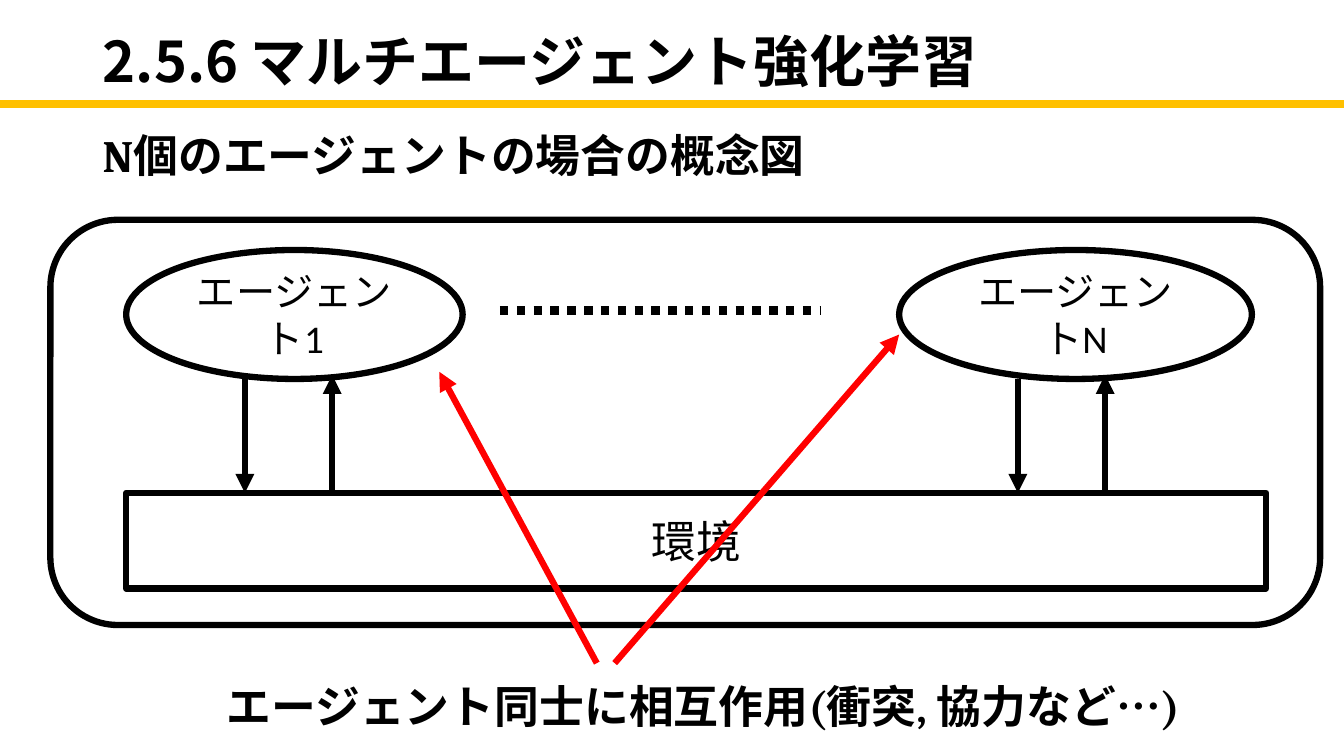
from pptx import Presentation
from pptx.dml.color import RGBColor
from pptx.enum.dml import MSO_LINE
from pptx.enum.shapes import MSO_CONNECTOR, MSO_SHAPE
from pptx.enum.text import MSO_ANCHOR, MSO_AUTO_SIZE, PP_ALIGN
from pptx.oxml.ns import qn
from pptx.util import Cm, Pt
from lxml.etree import SubElement

JP_FONT = "Noto Sans CJK JP"
rgb = RGBColor.from_string


def write(sp, text, size=32, font="Cambria", bold=True, align=PP_ALIGN.LEFT,
          anchor=MSO_ANCHOR.TOP, spacing=0.9):
    tf = sp.text_frame
    tf.word_wrap = True
    tf.auto_size = MSO_AUTO_SIZE.NONE
    tf.vertical_anchor = anchor
    p = tf.paragraphs[0]
    p.alignment = align
    p.line_spacing = spacing
    r = p.add_run()
    r.text = text
    r.font.size = Pt(size)
    r.font.bold = bold
    r.font.color.rgb = rgb("000000")
    r.font.name = font
    SubElement(r.font._element, qn("a:ea"), typeface=JP_FONT)


def connect(x1, y1, x2, y2, color="000000", width=4.5, arrow=True):
    line = s.shapes.add_connector(MSO_CONNECTOR.STRAIGHT,
                                  Cm(x1), Cm(y1), Cm(x2), Cm(y2))
    line.line.color.rgb = rgb(color)
    line.line.width = Pt(width)
    if arrow:
        SubElement(line.line._get_or_add_ln(), qn("a:tailEnd"), type="triangle")
    SubElement(line._element.spPr, qn("a:effectLst"))
    return line


prs = Presentation()
prs.slide_width, prs.slide_height = Cm(33.87), Cm(19.05)
s = prs.slides.add_slide(prs.slide_layouts[5])

# Title and rule
title = s.shapes.title
title.left, title.top, title.width, title.height = Cm(2.34), Cm(-0.23), Cm(29.21), Cm(3.68)
write(title, "2.5.6 マルチエージェント強化学習", size=40, font=JP_FONT,
      anchor=MSO_ANCHOR.MIDDLE)
connect(0, 2.62, 33.87, 2.62, color="FFC000", width=6, arrow=False)

# Frame, agents and environment
ENV_TOP = 12.42
for kind, x, y, w, h, text, size in [
    (MSO_SHAPE.ROUNDED_RECTANGLE, 1.27, 5.54, 32, 10.21, "", 0),
    (MSO_SHAPE.OVAL, 3.18, 6.3, 8.48, 3.25, "エージェント1", 28),
    (MSO_SHAPE.OVAL, 22.66, 6.3, 8.89, 3.25, "エージェントN", 28),
    (MSO_SHAPE.RECTANGLE, 3.18, ENV_TOP, 28.73, 2.41, "環境", 32),
]:
    sp = s.shapes.add_shape(kind, Cm(x), Cm(y), Cm(w), Cm(h))
    sp.shadow.inherit = False
    sp.fill.solid()
    sp.fill.fore_color.rgb = rgb("FFFFFF")
    sp.line.color.rgb = rgb("000000")
    sp.line.width = Pt(4.5)
    if text:
        write(sp, text, size=size, font="Calibri", bold=False,
              align=PP_ALIGN.CENTER, anchor=MSO_ANCHOR.MIDDLE, spacing=1.0)

# Action and observation arrows of each agent
for x in (6.17, 25.65):
    connect(x, 9.55, x, ENV_TOP)
    connect(x + 2.2, ENV_TOP, x + 2.2, 9.45)

# Dots between the agents
dots = connect(12.6, 7.82, 20.68, 7.82, width=6, arrow=False)
dots.line.dash_style = MSO_LINE.ROUND_DOT

# Interaction arrows
connect(15.04, 16.71, 11.07, 9.37, color="FF0000")
connect(15.49, 16.71, 22.66, 8.43, color="FF0000")

# Subtitle and caption
for x, y, w, text in [
    (2.34, 3.25, 18.97, "N個のエージェントの場合の概念図"),
    (5.46, 17.12, 28.4, "エージェント同士に相互作用(衝突, 協力など…)"),
]:
    write(s.shapes.add_textbox(Cm(x), Cm(y), Cm(w), Cm(1.8)), text)

prs.save("out.pptx")
